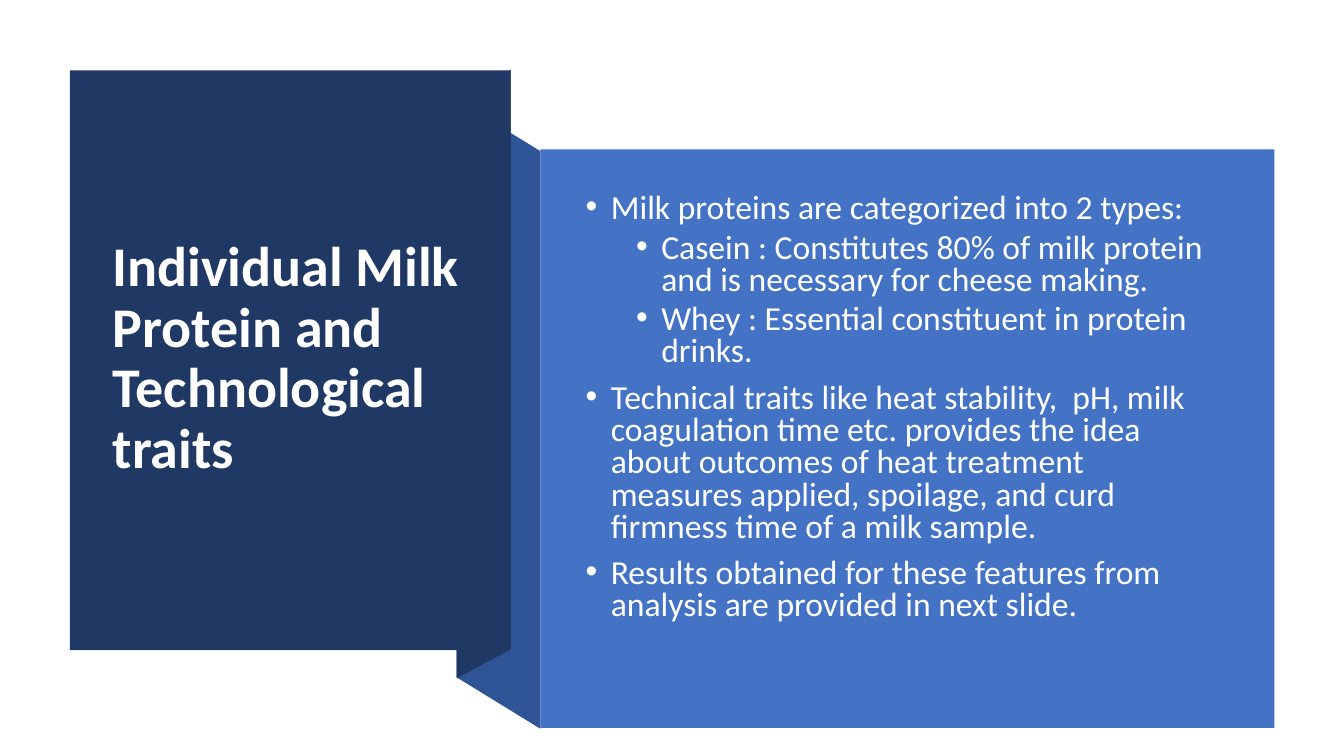
from lxml.etree import SubElement
from pptx import Presentation
from pptx.dml.color import RGBColor
from pptx.enum.shapes import MSO_SHAPE as Preset
from pptx.enum.text import MSO_ANCHOR as Anchor
from pptx.oxml.ns import qn
from pptx.util import Inches, Pt

COLORS = {
    "navy": "203864",
    "fold": "2F5597",
    "panel": "4472C4",
    "title": "FFFFFF",
    "body": "FEFFFF",
}
FONT = "Calibri"

deck = Presentation()
deck.slide_width, deck.slide_height = Inches(13.33), Inches(7.5)
page = deck.slides.add_slide(deck.slide_layouts[6])


def place(*shares):
    """Turn alternating percentages of slide width and height into lengths."""
    sides = (deck.slide_width, deck.slide_height)
    return [int(sides[i % 2] * share / 100) for i, share in enumerate(shares)]


def style_text(para, size, color, spacing):
    para.font.name = FONT
    para.font.size = Pt(size)
    para.font.color.rgb = RGBColor.from_string(COLORS[color])
    para.line_spacing = spacing


# Ribbon folds behind the two panels: corner points in percent of the slide
folds = [
    ("fold", [(40.21, 96.4), (33.98, 89.6), (33.98, 13.2), (40.21, 20)]),
    ("navy", [(38, 85.9), (33.98, 89.73), (33.98, 13.07), (38, 9.2)]),
]
panels = [
    ("navy", (5.2, 9.3, 32.8, 76.7)),
    ("panel", (40.21, 19.75, 54.61, 76.55)),
]

surfaces = []
for color, corners in folds:
    start, *others = [place(*corner) for corner in corners]
    outline = page.shapes.build_freeform(*start)
    outline.add_line_segments(others, close=True)
    surfaces.append((color, outline.convert_to_shape()))
for color, area in panels:
    surfaces.append((color, page.shapes.add_shape(Preset.RECTANGLE, *place(*area))))
for color, shape in surfaces:
    shape.shadow.inherit = False
    shape.fill.solid()
    shape.fill.fore_color.rgb = RGBColor.from_string(COLORS[color])
    shape.line.fill.background()

title_box = page.shapes.add_textbox(*place(7.65, 14.27, 27.83, 66.53))
body_box = page.shapes.add_textbox(*place(42.84, 25.07, 48.84, 63.2))
for box in (title_box, body_box):
    box.text_frame.word_wrap = True
    box.text_frame.vertical_anchor = Anchor.MIDDLE
body_box.text_frame.margin_bottom = Inches(0.44)

title = title_box.text_frame.paragraphs[0]
title.text = "Individual Milk Protein and Technological traits"
title.font.bold = True
style_text(title, 40, "title", 0.9)

bullets = [
    (0, "Milk proteins are categorized into 2 types:"),
    (1, "Casein : Constitutes 80% of milk protein and is necessary for cheese making."),
    (1, "Whey : Essential constituent in protein drinks."),
    (0, "Technical traits like heat stability,  pH, milk coagulation time etc. "
        "provides the idea about outcomes of heat treatment measures applied, "
        "spoilage, and curd firmness time of a milk sample."),
    (0, "Results obtained for these features from analysis are provided in next slide."),
]
body = body_box.text_frame
for index, (level, words) in enumerate(bullets):
    para = body.add_paragraph() if index else body.paragraphs[0]
    para.text = words
    para.level = level
    para.space_before = Pt(5 if level else 10)
    style_text(para, 24, "body", 0.8)
    properties = para._p.get_or_add_pPr()
    properties.set("marL", str(Inches(0.25 + 0.5 * level)))
    properties.set("indent", str(Inches(-0.25)))
    bullet_font = SubElement(properties, qn("a:buFont"), typeface="Arial")
    bullet = SubElement(properties, qn("a:buChar"), char="•")
    properties.find(qn("a:defRPr")).addprevious(bullet_font)
    bullet_font.addnext(bullet)

deck.save("out.pptx")
